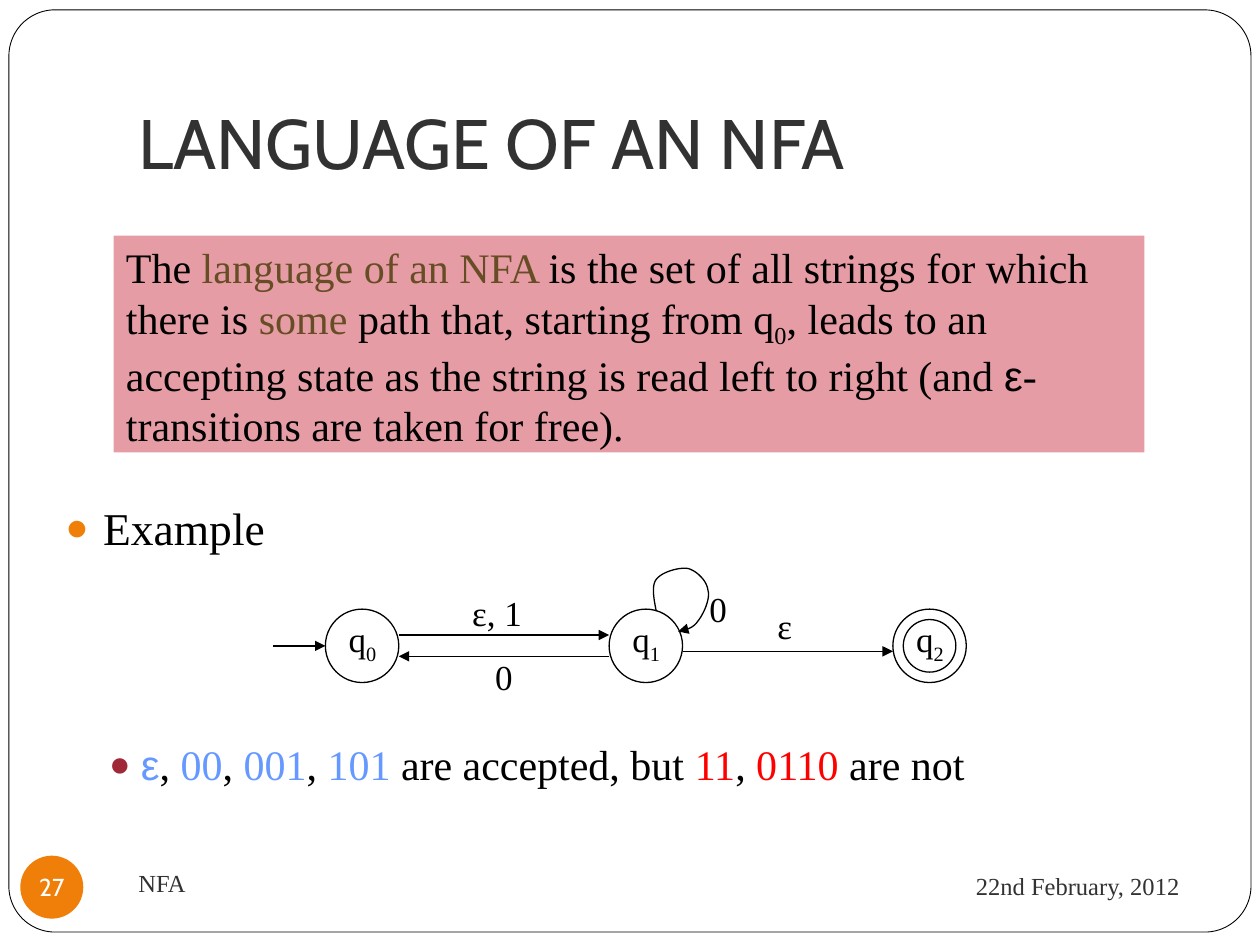
from dataclasses import dataclass
from typing import NamedTuple, Optional

from lxml import etree
from pptx import Presentation
from pptx.dml.color import RGBColor
from pptx.enum.shapes import MSO_CONNECTOR, MSO_SHAPE
from pptx.enum.text import MSO_ANCHOR, MSO_AUTO_SIZE, PP_ALIGN
from pptx.oxml.ns import qn
from pptx.util import Cm, Pt

OVAL, ROUNDED = MSO_SHAPE.OVAL, MSO_SHAPE.ROUNDED_RECTANGLE
STRAIGHT = MSO_CONNECTOR.STRAIGHT
TOP, MIDDLE, BOTTOM = MSO_ANCHOR.TOP, MSO_ANCHOR.MIDDLE, MSO_ANCHOR.BOTTOM
FIT = MSO_AUTO_SIZE.SHAPE_TO_FIT_TEXT
LEFT, CENTER, RIGHT = PP_ALIGN.LEFT, PP_ALIGN.CENTER, PP_ALIGN.RIGHT

SERIF, SANS, HEADING = "Times New Roman", "Arial", "Cabin"
BLACK, WHITE, GREY, ORANGE = "000000", "FFFFFF", "323232", "F07F09"
PINK, BROWN, BLUE, RED, CRIMSON = "E69CA4", "674D26", "6699FF", "FF0000", "9F2936"

STATE_SIZE, STATE_TOP, STATE_PITCH, FIRST_STATE = 1.48, 12.28, 5.72, 6.56


class Box(NamedTuple):
    left: float
    top: float
    width: float
    height: float


class Span(NamedTuple):
    text: str
    color: str = BLACK
    font: str = SERIF
    subscript: bool = False


@dataclass
class Bullet:
    color: str
    margin: float
    hang: float


@dataclass
class Arrow:
    start: float
    end: float
    y: float


@dataclass
class Label:
    box: Box
    spans: list[Span]


def rgb(value: str) -> RGBColor:
    """Turn a hex string into a colour."""
    return RGBColor.from_string(value)


def cm_box(box: Box) -> list[Cm]:
    """Convert a box to lengths."""
    return [Cm(value) for value in box]


def write(paragraph, spans: list[Span], size: float) -> None:
    """Write coloured spans into a paragraph."""
    for span in spans:
        run = paragraph.add_run()
        run.text = span.text
        for name, value in {"size": Pt(size), "name": span.font}.items():
            setattr(run.font, name, value)
        run.font.color.rgb = rgb(span.color)
        if span.subscript:
            run.font._element.set("baseline", "-25000")


def add_text(slide, box: Box, spans: list[Span], size: float, align=LEFT, **frame_format):
    """Add a text box and apply the frame format values."""
    text_box = slide.shapes.add_textbox(*cm_box(box))
    frame = text_box.text_frame
    for name, value in {"word_wrap": True, "vertical_anchor": TOP, **frame_format}.items():
        setattr(frame, name, value)
    frame.paragraphs[0].alignment = align
    write(frame.paragraphs[0], spans, size)
    return text_box


def add_bullet(paragraph, bullet: Bullet) -> None:
    """Give a paragraph a hanging coloured bullet."""
    properties = paragraph._p.get_or_add_pPr()
    properties.set("marL", str(Cm(bullet.margin)))
    properties.set("indent", str(-Cm(bullet.hang)))
    color = etree.SubElement(properties, qn("a:buClr"))
    etree.SubElement(color, qn("a:srgbClr"), val=bullet.color)
    etree.SubElement(properties, qn("a:buSzPct"), val="85000")
    etree.SubElement(properties, qn("a:buFont"), typeface=SANS)
    etree.SubElement(properties, qn("a:buChar"), char="●")


def add_outline(slide, kind, box: Box, fill: Optional[str], line: Optional[str], width: float = 0.75):
    """Add a preset shape with optional fill and line."""
    shape = slide.shapes.add_shape(kind, *cm_box(box))
    shape.shadow.inherit = False
    for part, color in ((shape.fill, fill), (shape.line.fill, line)):
        if color:
            part.solid()
            part.fore_color.rgb = rgb(color)
        else:
            part.background()
    if line:
        shape.line.width = Pt(width)
    return shape


def point_arrow(line) -> None:
    """Style a line as a thin black arrow."""
    line.color.rgb = rgb(BLACK)
    line.width = Pt(0.75)
    etree.SubElement(line._get_or_add_ln(), qn("a:tailEnd"), type="triangle")


def add_arrow(slide, arrow: Arrow) -> None:
    """Draw a horizontal transition arrow."""
    ends = [Cm(v) for v in (arrow.start, arrow.y, arrow.end, arrow.y)]
    connector = slide.shapes.add_connector(STRAIGHT, *ends)
    point_arrow(connector.line)
    etree.SubElement(connector._element.spPr, qn("a:effectLst"))


def add_loop(slide, points: list[tuple[float, float]], steps: int = 12) -> None:
    """Draw a chain of cubic curves as one open arrow."""
    track = []
    for first in range(0, len(points) - 1, 3):
        corners = points[first:first + 4]
        for t in (step / steps for step in range(1, steps + 1)):
            weights = ((1 - t) ** 3, 3 * t * (1 - t) ** 2, 3 * t * t * (1 - t), t**3)
            track.append([Cm(sum(w * c[axis] for w, c in zip(weights, corners))) for axis in (0, 1)])
    builder = slide.shapes.build_freeform(Cm(points[0][0]), Cm(points[0][1]))
    builder.add_line_segments(track, close=False)
    loop = builder.convert_to_shape()
    loop.shadow.inherit = False
    loop.fill.background()
    point_arrow(loop.line)


def add_automaton(slide) -> None:
    """Draw the states, transitions and their labels."""
    lefts = [FIRST_STATE + STATE_PITCH * index for index in range(3)]
    rights = [left + STATE_SIZE for left in lefts]
    labels = [
        Label(Box(9.27, 11.79, 1.52, 1.12), [Span("ε, 1")]),
        Label(Box(14.05, 11.71, 0.84, 1.12), [Span("0")]),
        Label(Box(9.73, 13.08, 0.84, 1.12), [Span("0")]),
        Label(Box(15.42, 12.07, 0.81, 1.12), [Span("ε")]),
    ]
    for index, left in enumerate(lefts):
        add_outline(slide, OVAL, Box(left, STATE_TOP, STATE_SIZE, STATE_SIZE), None, BLACK)
        name = [Span("q"), Span(str(index), subscript=True)]
        labels.append(Label(Box(left + 0.22, STATE_TOP + 0.04, 1.09, 1.12), name))
    inner = Box(lefts[2] + 0.21, STATE_TOP + 0.21, STATE_SIZE - 0.42, STATE_SIZE - 0.42)
    add_outline(slide, OVAL, inner, None, BLACK)
    for arrow in (
        Arrow(5.5, lefts[0], STATE_TOP + STATE_SIZE / 2),
        Arrow(rights[0], lefts[1], 12.8),
        Arrow(lefts[1], rights[0], 13.23),
        Arrow(rights[1], lefts[2], 13.13),
    ):
        add_arrow(slide, arrow)
    add_loop(slide, [
        (13.23, 12.32), (13.18, 12.07), (13.13, 11.81), (13.23, 11.68),
        (13.34, 11.53), (13.69, 11.43), (13.87, 11.46),
        (14.05, 11.51), (14.25, 11.71), (14.27, 11.89),
        (14.33, 12.07), (14.17, 12.4), (14.07, 12.52),
        (13.97, 12.67), (13.82, 12.7), (13.67, 12.73),
    ])
    for label in labels:
        add_text(slide, label.box, label.spans, 20, word_wrap=False, auto_size=FIT)


def main() -> None:
    """Build the slide and save it."""
    deck = Presentation()
    deck.slide_width, deck.slide_height = Cm(25.4), Cm(19.05)
    slide = deck.slides.add_slide(deck.slide_layouts[6])
    border = add_outline(slide, ROUNDED, Box(0.18, 0.2, 25.04, 18.59), WHITE, BLACK, 0.5)
    border.adjustments[0] = 0.05
    add_text(slide, Box(2.54, 0.76, 21.59, 3.18), [Span("LANGUAGE OF AN NFA", GREY, HEADING)], 40,
             vertical_anchor=BOTTOM, margin_bottom=Cm(0.25))
    definition = add_text(slide, Box(2.29, 4.75, 20.78, 4.37), [
        Span("The "), Span("language of an NFA ", BROWN),
        Span("is the set of all strings for which there is "), Span("some ", BROWN),
        Span("path that, starting from q"), Span("0", subscript=True),
        Span(", leads to an accepting state as the string is read left to right (and "),
        Span("ε", font=SANS), Span("-transitions are taken for free)."),
    ], 24, auto_size=FIT)
    definition.fill.solid()
    definition.fill.fore_color.rgb = rgb(PINK)

    example = add_text(slide, Box(1.07, 9.96, 23.22, 7.77), [Span("Example")], 26)
    add_bullet(example.text_frame.paragraphs[0], Bullet(ORANGE, 0.76, 0.76))
    verdict = example.text_frame.add_paragraph()
    verdict.space_before = Pt(105)
    add_bullet(verdict, Bullet(CRIMSON, 1.52, 0.64))
    write(verdict, [
        Span("ε", BLUE, SANS), Span(", "), Span("00", BLUE), Span(", "), Span("001", BLUE),
        Span(", "), Span("101 ", BLUE), Span("are accepted, but "), Span("11", RED),
        Span(", "), Span("0110 ", RED), Span("are not"),
    ], 24)
    add_automaton(slide)

    add_text(slide, Box(17.15, 17.2, 6.88, 1.32), [Span("22nd February, 2012", GREY)], 14, RIGHT,
             vertical_anchor=MIDDLE)
    add_text(slide, Box(2.54, 17.15, 11, 1.27), [Span("NFA", GREY)], 14, vertical_anchor=MIDDLE)
    badge = add_outline(slide, OVAL, Box(0.41, 17.25, 1.27, 1.27), ORANGE, None).text_frame
    margins = {f"margin_{side}": 0 for side in ("left", "top", "right", "bottom")}
    for name, value in {**margins, "word_wrap": False, "vertical_anchor": MIDDLE}.items():
        setattr(badge, name, value)
    badge.paragraphs[0].alignment = CENTER
    write(badge.paragraphs[0], [Span("27", WHITE, HEADING)], 14)
    deck.save("out.pptx")


if __name__ == "__main__":
    main()
